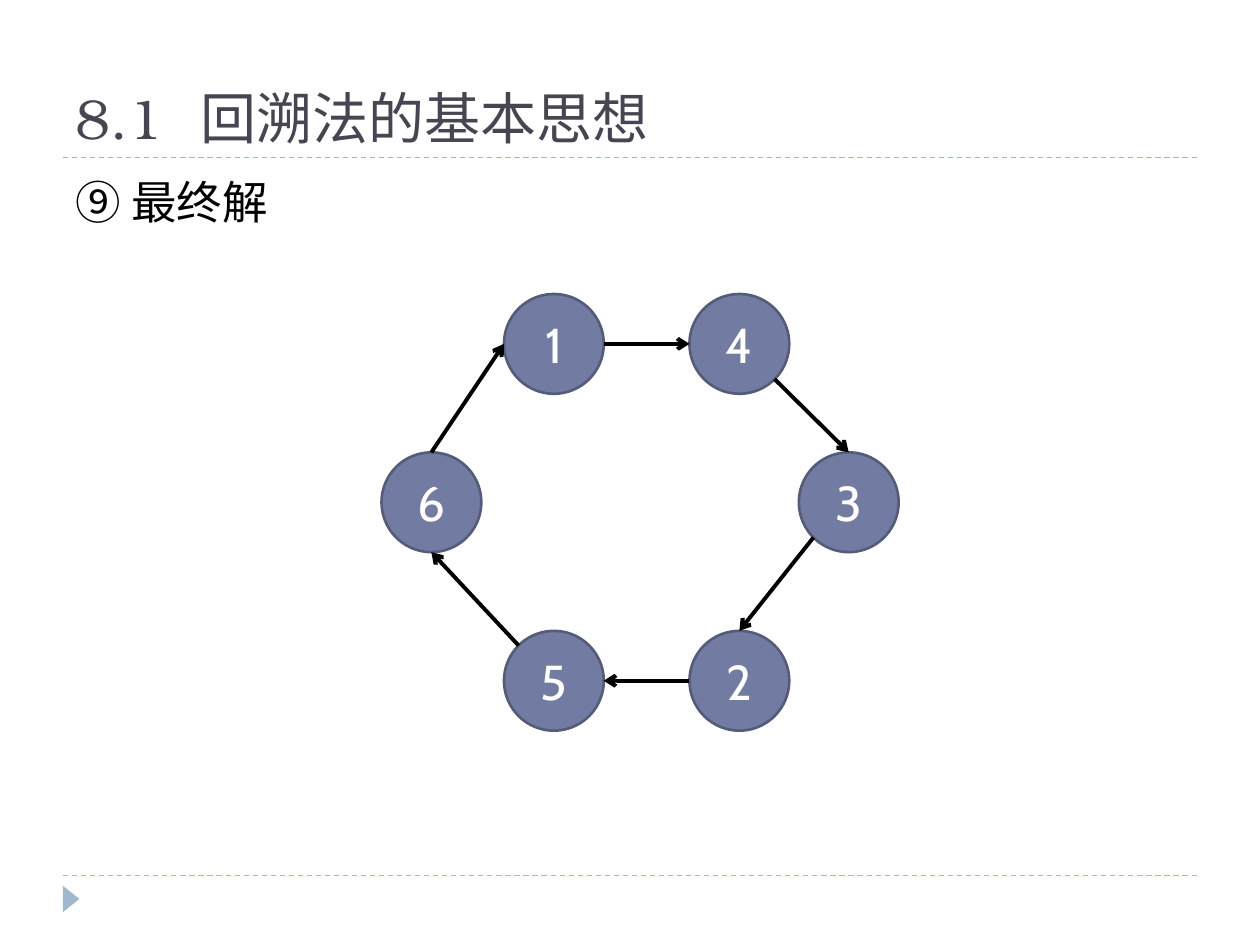
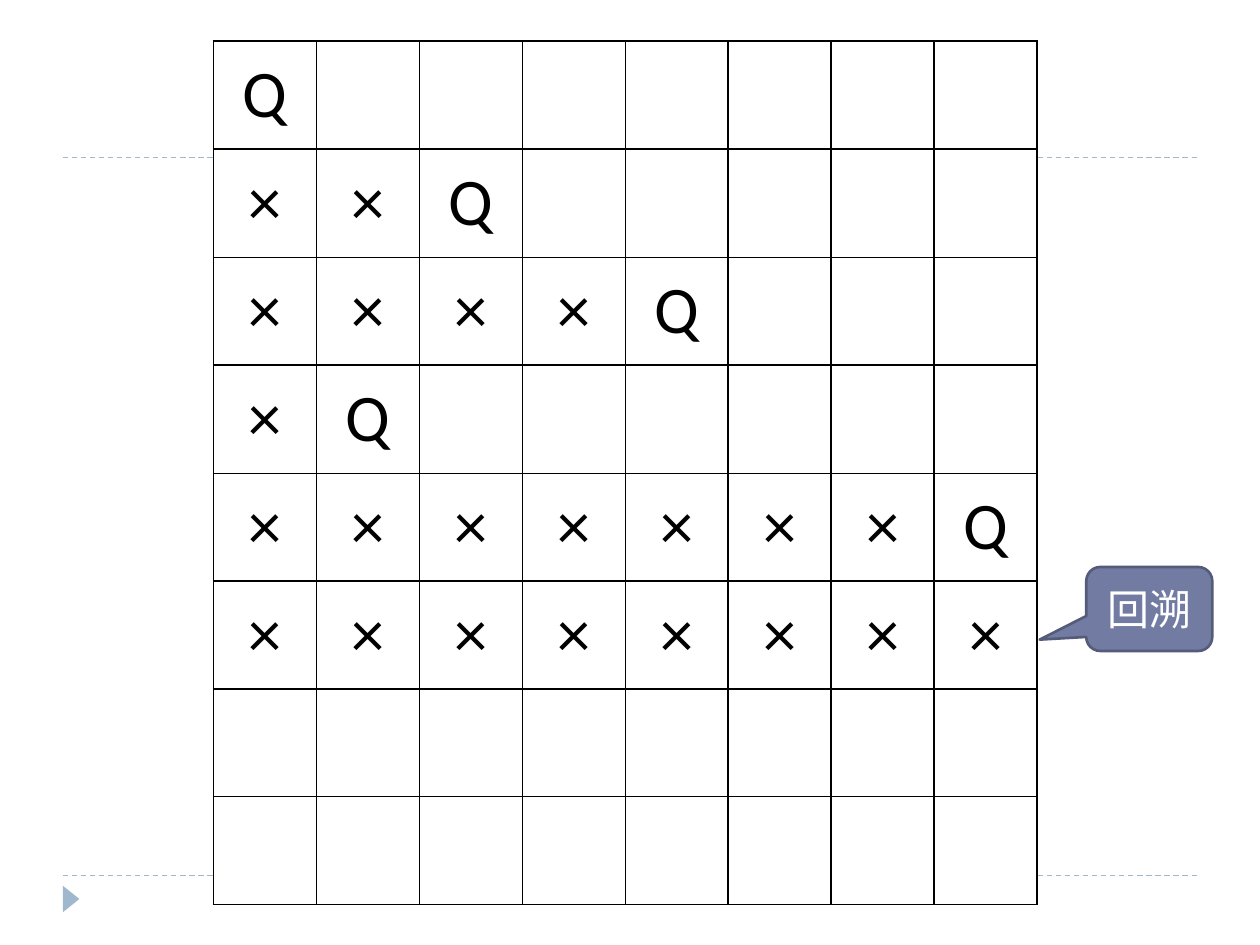
from math import cos, radians, sin

from lxml.etree import SubElement
from pptx import Presentation
from pptx.dml.color import RGBColor
from pptx.enum.dml import MSO_LINE
from pptx.enum.shapes import MSO_CONNECTOR, MSO_SHAPE
from pptx.enum.text import MSO_ANCHOR, MSO_AUTO_SIZE, PP_ALIGN
from pptx.oxml.ns import qn
from pptx.util import Pt

INK = RGBColor(0x00, 0x00, 0x00)
PAPER = RGBColor(0xFF, 0xFF, 0xFF)
SLATE = RGBColor(0x46, 0x46, 0x53)
MIST = RGBColor(0x9F, 0xB8, 0xCD)
INDIGO = RGBColor(0x72, 0x7C, 0xA3)
EDGE = RGBColor(0x54, 0x5C, 0x79)

HEAD, BODY, GRID = "TeX Gyre Bonum", "Cabin", "Calibri"
FULL, BARE = 1, 6  # layouts: title and content, blank

SIZE = 57  # node diameter
NODES = {1: (288, 168), 4: (394, 168), 3: (456.5, 258.5),
         2: (394, 360.5), 5: (288, 360.5), 6: (218, 258.5)}
# Tour edges: node and angle of departure, node and angle of arrival
# (clockwise from the right)
TOUR = [(1, 0, 4, 180), (4, 45, 3, 270), (3, 135, 2, 270),
        (2, 180, 5, 0), (5, 225, 6, 90), (6, 270, 1, 180)]

BOARD = ["Q", "××Q", "××××Q", "×Q", "×××××××Q", "××××××××", "", ""]
THIN = {2, 4}  # grid lines, counted from the outer edge, drawn finer


class Deck:
    def __init__(self):
        self.prs = Presentation()
        self.prs.slide_width, self.prs.slide_height = Pt(720), Pt(540)

    def page(self, kind):
        """Start a slide with the shared rules and corner mark."""
        self.slide = self.prs.slides.add_slide(self.prs.slide_layouts[kind])
        self.shapes = self.slide.shapes
        for y in (500.5, 90):
            self.line((36, y), (684, y), MIST, 0.75, dash=True)
        mark = self.shape(MSO_SHAPE.ISOSCELES_TRIANGLE,
                          (33.1, 509, 15.1, 9.4), MIST)
        mark.rotation = 90

    def run(self, para, text, font, size, color):
        run = para.add_run()
        run.text = text
        run.font.name, run.font.size = font, Pt(size)
        run.font.color.rgb = color
        return run

    def place(self, holder, box, anchor):
        """Move a placeholder and return its first paragraph."""
        holder.left, holder.top, holder.width, holder.height = map(Pt, box)
        frame = holder.text_frame
        frame.auto_size = MSO_AUTO_SIZE.NONE
        frame.vertical_anchor = anchor
        para = frame.paragraphs[0]
        para.alignment = PP_ALIGN.LEFT
        return para

    def title(self, mark, text):
        para = self.place(self.shapes.title, (36, 12.25, 648, 77.75),
                          MSO_ANCHOR.BOTTOM)
        style = HEAD, 32, SLATE
        self.run(para, mark, *style)
        gap = self.run(para, " ", *style)
        gap.font._element.set("spc", "1090")
        self.run(para, text, *style)

    def body(self, text):
        para = self.place(self.slide.placeholders[1], (36, 95.75, 648, 389),
                          MSO_ANCHOR.TOP)
        para.space_before = Pt(6)
        props = para._p.get_or_add_pPr()
        props.set("marL", "0")
        props.set("indent", "0")
        SubElement(props, qn("a:buNone"))
        self.run(para, text, BODY, 26, INK)

    def shape(self, kind, box, fill, edge=None):
        shape = self.shapes.add_shape(kind, *map(Pt, box))
        shape.shadow.inherit = False
        shape.fill.solid()
        shape.fill.fore_color.rgb = fill
        if edge is None:
            shape.line.fill.background()
        else:
            shape.line.color.rgb, shape.line.width = edge, Pt(1.5)
        return shape

    def badge(self, kind, box, text, size):
        """Add an indigo shape with a centred white label."""
        shape = self.shape(kind, box, INDIGO, EDGE)
        shape.text_frame.vertical_anchor = MSO_ANCHOR.MIDDLE
        para = shape.text_frame.paragraphs[0]
        para.alignment = PP_ALIGN.CENTER
        self.run(para, text, BODY, size, PAPER)
        return shape

    def line(self, start, end, color, width, dash=False, arrow=False):
        line = self.shapes.add_connector(MSO_CONNECTOR.STRAIGHT,
                                         *map(Pt, (*start, *end)))
        line.line.color.rgb, line.line.width = color, Pt(width)
        if dash:
            line.line.dash_style = MSO_LINE.DASH
        props = line._element.spPr
        if arrow:
            SubElement(props.find(qn("a:ln")), qn("a:tailEnd"), type="arrow")
        SubElement(props, qn("a:effectLst"))

    def border(self, cell, row, col):
        props = cell._tc.get_or_add_tcPr()
        sides = {"L": col, "R": col + 1, "T": row, "B": row + 1}
        for side, rule in sides.items():
            width = Pt(0.5 if rule in THIN else 1)
            edge = SubElement(props, qn(f"a:ln{side}"), w=str(width))
            fill = SubElement(edge, qn("a:solidFill"))
            SubElement(fill, qn("a:srgbClr"), val=str(INK))

    def board(self, rows, left, top, wide, high):
        count = len(rows)
        table = self.shapes.add_table(
            count, count, Pt(left), Pt(top),
            Pt(wide * count), Pt(high * count)).table
        table.first_row = table.horz_banding = False
        for col in table.columns:
            col.width = Pt(wide)
        for r, marks in enumerate(rows):
            table.rows[r].height = Pt(high)
            for c in range(count):
                cell = table.cell(r, c)
                self.border(cell, r, c)
                cell.fill.solid()
                cell.fill.fore_color.rgb = PAPER
                cell.vertical_anchor = MSO_ANCHOR.MIDDLE
                cell.margin_left = cell.margin_right = Pt(15)
                cell.margin_top = cell.margin_bottom = Pt(7.6)
                if c < len(marks):
                    para = cell.text_frame.paragraphs[0]
                    para.alignment = PP_ALIGN.CENTER
                    self.run(para, marks[c], GRID, 38, INK)


def rim(node, angle):
    """Point on a node's circle at the given angle."""
    left, top = NODES[node]
    turn, half = radians(angle), SIZE / 2
    return left + half + half * cos(turn), top + half + half * sin(turn)


def tour(deck):
    deck.page(FULL)
    deck.title("8.1", "回溯法的基本思想")
    deck.body("⑨ 最终解")
    for name, spot in NODES.items():
        deck.badge(MSO_SHAPE.OVAL, (*spot, SIZE, SIZE), str(name), 28)
    for start, out, end, into in TOUR:
        deck.line(rim(start, out), rim(end, into), INK, 2.25, arrow=True)


def queens(deck):
    deck.page(BARE)
    deck.board(BOARD, 121.9, 23.5, 58.85, 61.7)
    note = deck.badge(MSO_SHAPE.ROUNDED_RECTANGULAR_CALLOUT,
                      (620.75, 324, 72, 48), "回溯", 24)
    for i, value in enumerate((-0.87, 0.365, 0.167)):
        note.adjustments[i] = value


def main():
    deck = Deck()
    tour(deck)
    queens(deck)
    deck.prs.save("out.pptx")


if __name__ == "__main__":
    main()
